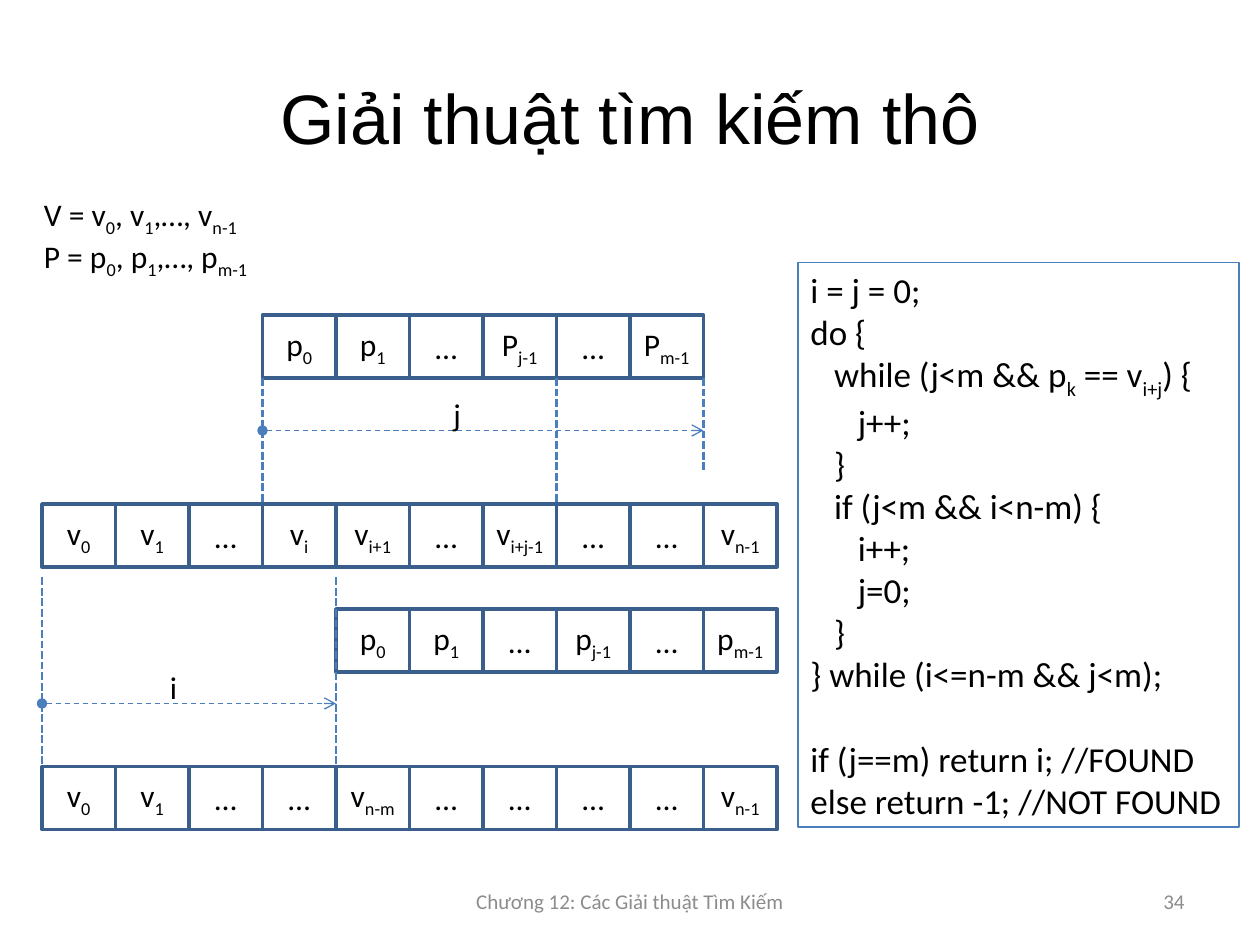
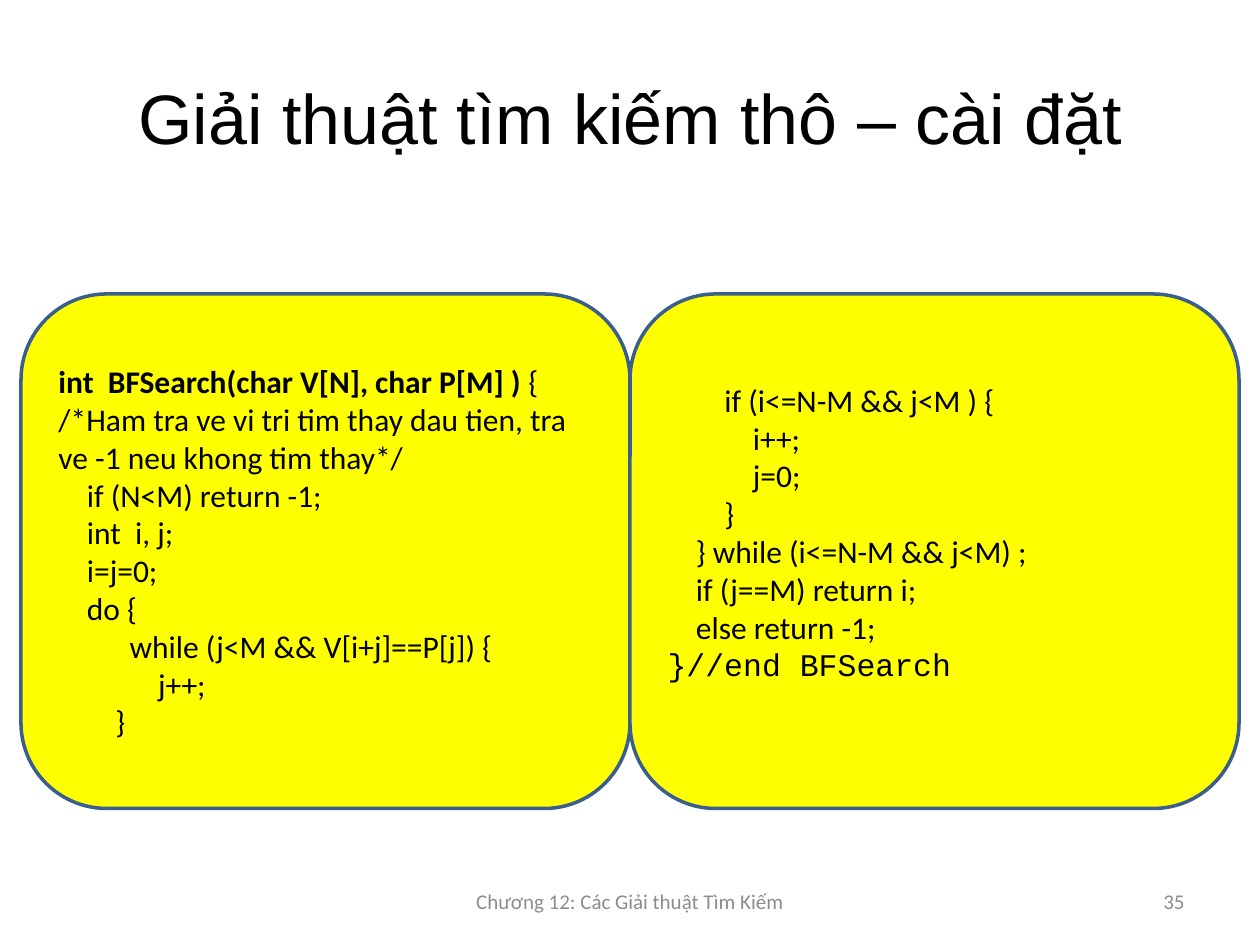
import pptx
import pptx.dml.color
import pptx.enum.dml
import pptx.enum.shapes
import pptx.enum.text
import pptx.oxml.ns
import pptx.util
from lxml import etree

Pt = pptx.util.Pt
Align = pptx.enum.text.PP_ALIGN
Anchor = pptx.enum.text.MSO_ANCHOR
Shape = pptx.enum.shapes.MSO_SHAPE
Dash = pptx.enum.dml.MSO_LINE

BLACK = "000000"
GREY = "8C8C8C"
NAVY = "3A5F8C"
BLUE = "4B7EBC"
YELLOW = "FFFF00"
FOOTER = "Chương 12: Các Giải thuật Tìm Kiếm"
SPACE_WIDTH = 0.226
LINE_HEIGHT = 1.22
CELL_WIDTH = 42
CELL_HEIGHT = 36

PSEUDOCODE = """i = j = 0;
do {
   while (j<m && p~k~ == v~i+j~) {
      j++;
   }
   if (j<m && i<n-m) {
      i++;
      j=0;
   }
} while (i<=n-m && j<m);

if (j==m) return i; //FOUND
else return -1; //NOT FOUND"""

SIGNATURE = "int  BFSearch(char V[N], char P[M] ) "
SEARCH_START = """/*Ham tra ve vi tri tim thay dau tien, tra ve -1 neu khong tim thay*/
    if (N<M) return -1;
    int  i, j;
    i=j=0;
    do {
          while (j<M && V[i+j]==P[j]) {
              j++;
        }"""
SEARCH_END = """        if (i<=N-M && j<M ) {
            i++;
            j=0;
        }
    } while (i<=N-M && j<M) ;
    if (j==M) return i;
    else return -1;
}//end BFSearch"""


def color(value):
    return pptx.dml.color.RGBColor.from_string(value)


def add_runs(paragraph, text):
    for index, part in enumerate(text.split("~")):
        if part:
            run = paragraph.add_run()
            run.text = part
            if index % 2:
                run.font._element.set("baseline", "-25000")


def write_lines(frame, text, size, align=Align.LEFT, font="Calibri", ink=BLACK):
    frame.word_wrap = True
    paragraph = None
    gap = 0
    for line in text.split("\n"):
        if not line:
            gap = size * LINE_HEIGHT
            continue
        paragraph = frame.add_paragraph() if paragraph else frame.paragraphs[0]
        code = line.lstrip()
        indent = (len(line) - len(code)) * SPACE_WIDTH * size
        if indent:
            paragraph._p.get_or_add_pPr().set("marL", str(int(Pt(indent))))
        if gap:
            paragraph.space_before = Pt(gap)
            gap = 0
        paragraph.alignment = align
        paragraph.font.size = Pt(size)
        paragraph.font.name = font
        paragraph.font.color.rgb = color(ink)
        add_runs(paragraph, code)


def add_text(slide, box, text, size, anchor=Anchor.TOP, **style):
    shape = slide.shapes.add_textbox(*map(Pt, box))
    shape.text_frame.vertical_anchor = anchor
    write_lines(shape.text_frame, text, size, **style)


def add_panel(slide, kind, box, line, width, fill=None):
    shape = slide.shapes.add_shape(kind, *map(Pt, box))
    shape.shadow.inherit = False
    if fill:
        shape.fill.solid()
        shape.fill.fore_color.rgb = color(fill)
    else:
        shape.fill.background()
    shape.line.color.rgb = color(line)
    shape.line.width = Pt(width)
    return shape


def add_line(slide, start, end, width, dash):
    connector = slide.shapes.add_connector(
        pptx.enum.shapes.MSO_CONNECTOR.STRAIGHT, *map(Pt, start + end))
    connector.line.color.rgb = color(BLUE)
    connector.line.width = Pt(width)
    connector.line.dash_style = dash
    properties = connector._element.spPr
    etree.SubElement(properties, pptx.oxml.ns.qn("a:effectLst"))
    return properties.find(pptx.oxml.ns.qn("a:ln"))


def add_guide(slide, x, top, bottom):
    add_line(slide, (x, top), (x, bottom), 1.5, Dash.SQUARE_DOT)


def add_span(slide, left, right, y):
    outline = add_line(slide, (left, y), (right, y), 0.75, Dash.DASH)
    for end, kind in (("a:headEnd", "oval"), ("a:tailEnd", "arrow")):
        etree.SubElement(outline, pptx.oxml.ns.qn(end)).set("type", kind)


def add_array(slide, left, top, items):
    for index, item in enumerate(items.split()):
        box = (left + index * CELL_WIDTH, top, CELL_WIDTH, CELL_HEIGHT)
        frame = add_panel(slide, Shape.RECTANGLE, box, NAVY, 2).text_frame
        frame.margin_left = frame.margin_right = 0
        frame.margin_top = frame.margin_bottom = 0
        frame.vertical_anchor = Anchor.MIDDLE
        write_lines(frame, item, 18, Align.CENTER)


def add_matching_diagram(slide, left, top):
    columns = [left + index * CELL_WIDTH for index in range(11)]
    text_top, shifted_top, last_top = top + 108, top + 168, top + 258
    add_array(slide, columns[3], top, "p~0~ p~1~ … P~j-1~ … P~m-1~")
    add_array(slide, left, text_top,
              "v~0~ v~1~ … v~i~ v~i+1~ … v~i+j-1~ … … v~n-1~")
    add_array(slide, columns[4], shifted_top, "p~0~ p~1~ … p~j-1~ … p~m-1~")
    add_array(slide, left, last_top, "v~0~ v~1~ … … v~n-m~ … … … … v~n-1~")
    pattern_bottom = top + CELL_HEIGHT
    for column, bottom in ((3, text_top), (7, text_top), (9, top + 90)):
        add_guide(slide, columns[column], pattern_bottom, bottom)
    for column in (0, 4):
        add_guide(slide, columns[column], top + 150, last_top)
    add_span(slide, columns[3], columns[9], top + 66)
    add_span(slide, columns[0], columns[4], top + 222)
    add_text(slide, (left + 228, top + 42, 30, 29), "j", 18)
    add_text(slide, (left + 66, top + 198, 30, 29), "i", 18)


def add_sequences(slide, left, top):
    add_text(slide, (left, top, 138, 30), "V = v~0~, v~1~,…, v~n-1~", 18)
    add_text(slide, (left, top + 24, 144, 30), "P = p~0~, p~1~,…, p~m-1~", 18)


def add_pseudocode(slide, box):
    panel = add_panel(slide, Shape.RECTANGLE, box, BLUE, 0.75)
    panel.text_frame.vertical_anchor = Anchor.TOP
    write_lines(panel.text_frame, PSEUDOCODE, 20)


def add_code_card(slide, box, code):
    card = add_panel(slide, Shape.ROUNDED_RECTANGLE, box, NAVY, 2, YELLOW)
    card.text_frame.vertical_anchor = Anchor.MIDDLE
    write_lines(card.text_frame, code, 18)
    return card.text_frame


def add_implementation(slide, left, top, width, height):
    start = add_code_card(slide, (left, top, width, height),
                          SIGNATURE + "~~{\n" + SEARCH_START)
    start.paragraphs[0].runs[0].font.bold = True
    end = add_code_card(slide, (left + width, top, width, height), SEARCH_END)
    end.margin_bottom = Pt(25.6)
    end.paragraphs[-1].font.name = "Courier New"


def add_base_slide(presentation, title, number):
    slide = presentation.slides.add_slide(presentation.slide_layouts[6])
    add_text(slide, (36, 21.6, 648, 90), title, 40, Anchor.MIDDLE,
             align=Align.CENTER, font="Arial")
    add_text(slide, (246, 500.4, 228, 28.8), FOOTER, 12, Anchor.MIDDLE,
             align=Align.CENTER, ink=GREY)
    add_text(slide, (516, 500.4, 168, 28.8), str(number), 12, Anchor.MIDDLE,
             align=Align.RIGHT, ink=GREY)
    return slide


def main():
    presentation = pptx.Presentation()
    presentation.slide_width = Pt(720)
    presentation.slide_height = Pt(540)

    slide = add_base_slide(presentation, "Giải thuật tìm kiếm thô", 34)
    add_sequences(slide, 18, 108)
    add_matching_diagram(slide, 24, 180)
    add_pseudocode(slide, (456, 150, 252, 322.6))

    slide = add_base_slide(presentation, "Giải thuật tìm kiếm thô – cài đặt", 35)
    add_implementation(slide, 12, 168, 348, 294)

    presentation.save("out.pptx")


if __name__ == "__main__":
    main()
